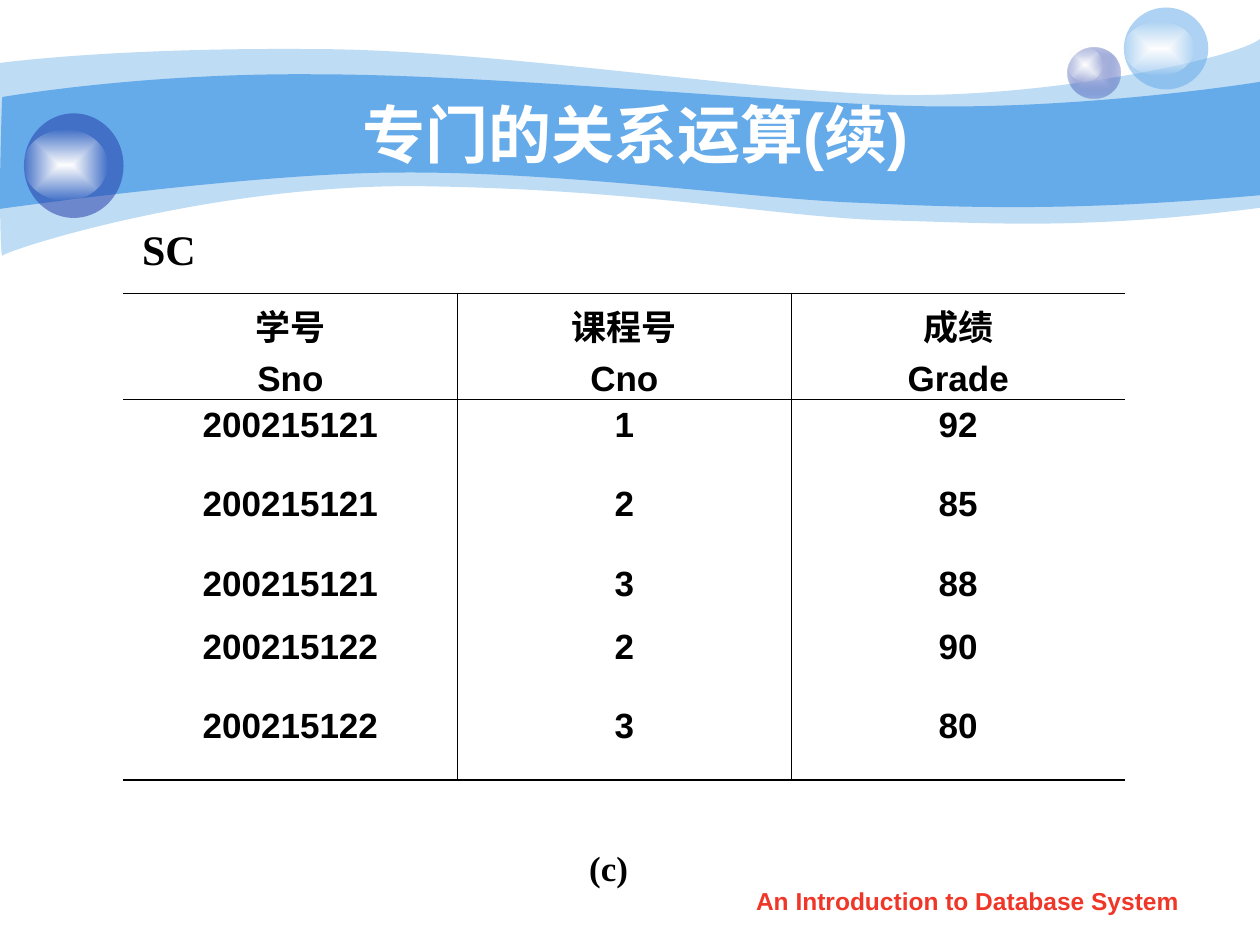
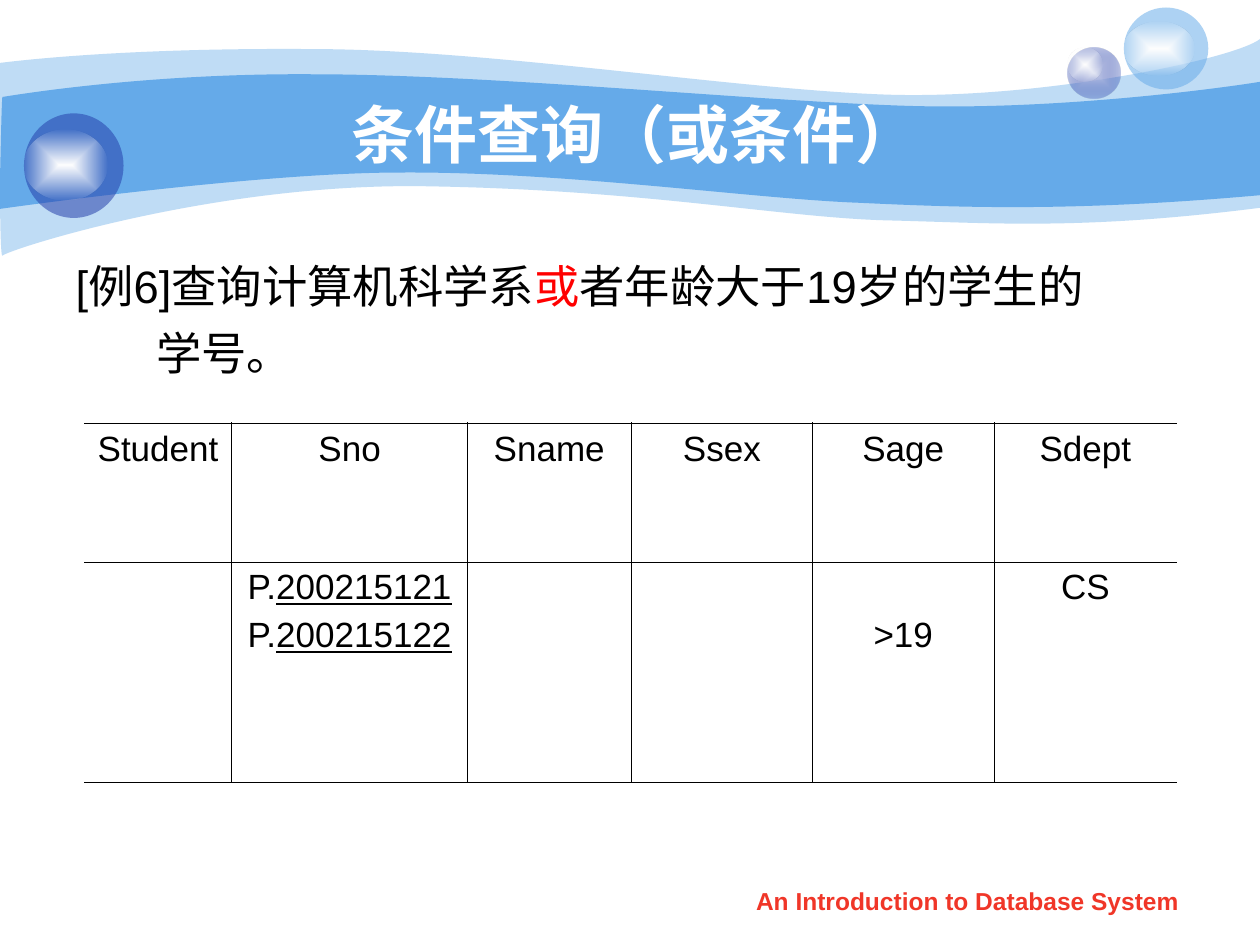
from pptx import Presentation
from pptx.dml.color import RGBColor
from pptx.enum.shapes import MSO_SHAPE
from pptx.enum.text import MSO_ANCHOR, MSO_AUTO_SIZE, PP_ALIGN
from pptx.oxml import parse_xml
from pptx.oxml.ns import nsdecls, qn
from pptx.util import Inches, Pt

SKY, NAVY, LILAC = "65AAE9", "233DA9", "C7CEE9"
WHITE, BLACK, RED, FOOTER_RED = "FFFFFF", "000000", "FF0000", "F03628"
SANS, SERIF = "Arial", "Times New Roman"
THICK, THIN = 1.1, 0.45

# Outlines in inches: a start point, then straight (2 numbers) or cubic (6 numbers) parts.
PALE_WAVE = [
    (0, 0.5),
    (0.24, 0.47, 1.08, 0.38, 2.47, 0.39),
    (3.86, 0.39, 5.75, 0.7, 6.99, 0.75),
    (8.22, 0.8, 9.8, 0.47, 10, 0.31),
    (10, 1.65),
    (8.58, 1.83, 7.88, 1.77, 7.05, 1.75),
    (6.22, 1.73, 5.15, 1.51, 3.43, 1.48),
    (1.72, 1.44, 0.04, 1.99, 0.02, 2.03),
    (-0.01, 2.08, 0, 0.75, 0, 0.5),
]
TITLE_WAVE = [
    (0.02, 0.77),
    (0.03, 0.77, 1.1, 0.58, 2.48, 0.59),
    (3.87, 0.59, 5.96, 0.8, 7.18, 0.84),
    (8.41, 0.88, 9.76, 0.69, 10, 0.65),
    (10, 1.55),
    (8.53, 1.68, 7.66, 1.65, 6.82, 1.61),
    (5.99, 1.58, 4.47, 1.36, 3.17, 1.37),
    (2.03, 1.37, -0.02, 1.66, -0.01, 1.66),
    (0, 1.66, 0.01, 0.77, 0.02, 0.77),
]


def rgb(color):
    return RGBColor.from_string(color)


def place(sp, left, top, width, height):
    sp.left, sp.top = Inches(left), Inches(top)
    sp.width, sp.height = Inches(width), Inches(height)


def color_xml(color, alpha):
    return f'<a:srgbClr val="{color}"><a:alpha val="{alpha * 1000}"/></a:srgbClr>'


def solid_xml(color, alpha=100):
    return f'<a:solidFill {nsdecls("a")}>{color_xml(color, alpha)}</a:solidFill>'


def glow_xml(center, edge, edge_alpha):
    """Gradient running from the centre of a shape to its edge."""
    return (f'<a:gradFill {nsdecls("a")} rotWithShape="1"><a:gsLst>'
            f'<a:gs pos="0">{color_xml(center, 100)}</a:gs>'
            f'<a:gs pos="100000">{color_xml(edge, edge_alpha)}</a:gs></a:gsLst>'
            '<a:path path="rect"><a:fillToRect l="50000" t="50000" r="50000" b="50000"/>'
            '</a:path></a:gradFill>')


def paint(sp, fill_xml):
    """Give a shape the fill, with no outline and no shadow."""
    sp.shadow.inherit = False
    sp.line.fill.background()
    sp.fill.background()
    spPr = sp.element.spPr
    spPr.replace(spPr.find(qn("a:noFill")), parse_xml(fill_xml))


def bend(sp, parts):
    """Turn each run of three line segments that stands for a cubic part into a curve."""
    segments = iter(list(sp.element.iter(qn("a:lnTo"))))
    for part in parts:
        line = next(segments)
        if len(part) == 2:
            continue
        curve = parse_xml(f'<a:cubicBezTo {nsdecls("a")}/>')
        line.addprevious(curve)
        for segment in (line, next(segments), next(segments)):
            curve.append(segment[0])
            segment.getparent().remove(segment)


def add_wave(s, outline, alpha):
    start, *parts = outline
    points = [(Inches(part[i]), Inches(part[i + 1]))
              for part in parts for i in range(0, len(part), 2)]
    builder = s.shapes.build_freeform(*map(Inches, start))
    builder.add_line_segments(points, close=True)
    sp = builder.convert_to_shape()
    bend(sp, parts)
    paint(sp, solid_xml(SKY, alpha))


def add_bubble(s, ball, shine, fill_xml):
    """A coloured ball with a white highlight."""
    for box, xml in ((ball, fill_xml), (shine, glow_xml(WHITE, WHITE, 0))):
        sp = s.shapes.add_shape(MSO_SHAPE.OVAL, *map(Inches, box))
        paint(sp, xml)


def add_backdrop(prs, s):
    """Draw the waves and bubbles, then move them to the slide master."""
    first = len(s.shapes)
    add_wave(s, PALE_WAVE, 41)
    add_wave(s, TITLE_WAVE, 100)
    add_bubble(s, (8.47, 0.38, 0.42, 0.4), (8.47, 0.38, 0.28, 0.27),
               glow_xml(LILAC, NAVY, 31))
    add_bubble(s, (8.92, 0.06, 0.67, 0.65), (8.92, 0.17, 0.56, 0.43), solid_xml(SKY, 53))
    add_bubble(s, (0.19, 0.9, 0.79, 0.83), (0.19, 1.03, 0.66, 0.56), solid_xml(NAVY, 53))
    tree = prs.slide_master.shapes.element
    for i, sp in enumerate(list(s.shapes)[first:]):
        sp.element.nvSpPr.cNvPr.set("id", str(100 + i))
        tree.insert(2 + i, sp.element)


def add_run(p, text, size, font=SANS, color=BLACK, bold=False, underline=None):
    r = p.add_run()
    r.text = text
    r.font.size, r.font.name, r.font.bold = Pt(size), font, bold
    r.font.underline = underline
    r.font.color.rgb = rgb(color)


def set_title(s, text):
    title = s.shapes.title
    place(title, 1, 0.75, 8.08, 0.62)
    tf = title.text_frame
    tf.auto_size = MSO_AUTO_SIZE.NONE
    tf.vertical_anchor = MSO_ANCHOR.MIDDLE
    p = tf.paragraphs[0]
    p.alignment = PP_ALIGN.CENTER
    add_run(p, text, 36, color=WHITE, bold=True)


def add_label(s, box, text, size, font, color=BLACK, anchor=MSO_ANCHOR.TOP):
    tf = s.shapes.add_textbox(*map(Inches, box)).text_frame
    tf.word_wrap = True
    tf.vertical_anchor = anchor
    p = tf.paragraphs[0]
    p.alignment = PP_ALIGN.CENTER
    add_run(p, text, size, font, color, bold=True)


def add_slide(prs, layout, title):
    s = prs.slides.add_slide(prs.slide_layouts.get_by_name(layout))
    set_title(s, title)
    add_label(s, (5.71, 6.98, 3.94, 0.35), "An Introduction to Database System",
              14, SANS, FOOTER_RED)
    return s


def set_question(s, lines):
    """Fill the body; each line is (left margin, first indent, runs)."""
    body = s.placeholders[1]
    place(body, 0.5, 2, 8.99, 1.36)
    tf = body.text_frame
    tf.auto_size = MSO_AUTO_SIZE.NONE
    for i, (margin, indent, runs) in enumerate(lines):
        p = tf.add_paragraph() if i else tf.paragraphs[0]
        pPr = p._p.get_or_add_pPr()
        pPr.set("marL", str(Inches(margin)))
        pPr.set("indent", str(Inches(indent)))
        pPr.append(parse_xml(f'<a:buNone {nsdecls("a")}/>'))
        p.alignment = PP_ALIGN.JUSTIFY
        p.space_before = Pt(7 if i else 0)
        for text, color in runs:
            add_run(p, text, 25.9, color=color)


def set_borders(cell, **widths):
    """Border widths in points by side (L, R, T, B); 0 hides the side."""
    tcPr = cell._tc.get_or_add_tcPr()
    for side in "LRTB":
        width = widths[side]
        line = solid_xml(BLACK) if width else f'<a:noFill {nsdecls("a")}/>'
        tcPr.append(parse_xml(f'<a:ln{side} {nsdecls("a")} w="{int(Pt(width))}">'
                              f'{line}</a:ln{side}>'))
    cell.fill.background()


def fill_cell(cell, lines, bold):
    """Each line is a list of (text, underline) runs, or plain text."""
    tf = cell.text_frame
    for i, line in enumerate(lines):
        p = tf.add_paragraph() if i else tf.paragraphs[0]
        p.alignment = PP_ALIGN.CENTER
        p.space_before = Pt(5 if i else 0)
        for text, underline in [(line, None)] if isinstance(line, str) else line:
            add_run(p, text, 20, bold=bold, underline=underline)


def add_relation(s, left, top, widths, heights, rows, bold=False):
    """Open-sided table: thick top and bottom rules, thin header and column rules."""
    last_row, last_col = len(heights) - 1, len(widths) - 1
    frame = s.shapes.add_table(len(heights), len(widths), Inches(left), Inches(top),
                               Inches(sum(widths)), Inches(sum(heights)))
    table = frame.table
    table.first_row = table.horz_banding = False
    for column, width in zip(table.columns, widths):
        column.width = Inches(width)
    for row, height in zip(table.rows, heights):
        row.height = Inches(height)
    for i, row in enumerate(rows):
        for j, lines in enumerate(row):
            cell = table.cell(i, j)
            cell.margin_bottom = 0
            fill_cell(cell, lines, bold)
            set_borders(cell,
                        L=THIN if j else 0,
                        R=THIN if j < last_col else 0,
                        T={0: THICK, 1: THIN}.get(i, 0),
                        B=THICK if i == last_row else 0 if i else THIN)
    return table


def add_grades_slide(prs):
    s = add_slide(prs, "Title Only", "专门的关系运算(续)")
    add_label(s, (4.37, 6.67, 0.92, 0.77), "(c)", 20, SERIF)
    add_label(s, (0.75, 1.7, 1.18, 0.55), "SC", 24, SERIF, anchor=MSO_ANCHOR.MIDDLE)
    header = [["学号", "Sno"], ["课程号", "Cno"], ["成绩", "Grade"]]
    grades = [("200215121", "1", "92"), ("200215121", "2", "85"), ("200215121", "3", "88"),
              ("200215122", "2", "90"), ("200215122", "3", "80")]
    rows = [header] + [[[value] for value in record] for record in grades]
    add_relation(s, 0.98, 2.33, [2.65] * 3, [0.84, 0.63, 0.63, 0.5, 0.63, 0.63],
                 rows, bold=True)
    return s


def add_query_slide(prs):
    s = add_slide(prs, "Title and Content", "条件查询（或条件）")
    set_question(s, [
        (0.38, -0.38, [("[例6]查询计算机科学系", BLACK), ("或", RED),
                       ("者年龄大于19岁的学生的", BLACK)]),
        (0.64, 0, [("学号。", BLACK)]),
    ])
    header = [[name] for name in ("Student", "Sno", "Sname", "Ssex", "Sage", "Sdept")]
    numbers = [[("P.", None), (sno, True)] for sno in ("200215121", "200215122")]
    query = [[], numbers, [], [], [">19"], ["CS"]]
    table = add_relation(s, 0.67, 3.36, [1.17, 1.87, 1.3, 1.44, 1.44, 1.45], [1.1, 1.75],
                         [header, query])
    table.cell(1, 4).margin_top = Inches(0.43)  # level with the second student number


def main():
    prs = Presentation()
    prs.slide_width, prs.slide_height = Inches(10), Inches(7.5)
    s = add_grades_slide(prs)
    add_backdrop(prs, s)
    add_query_slide(prs)
    prs.save("out.pptx")


if __name__ == "__main__":
    main()
